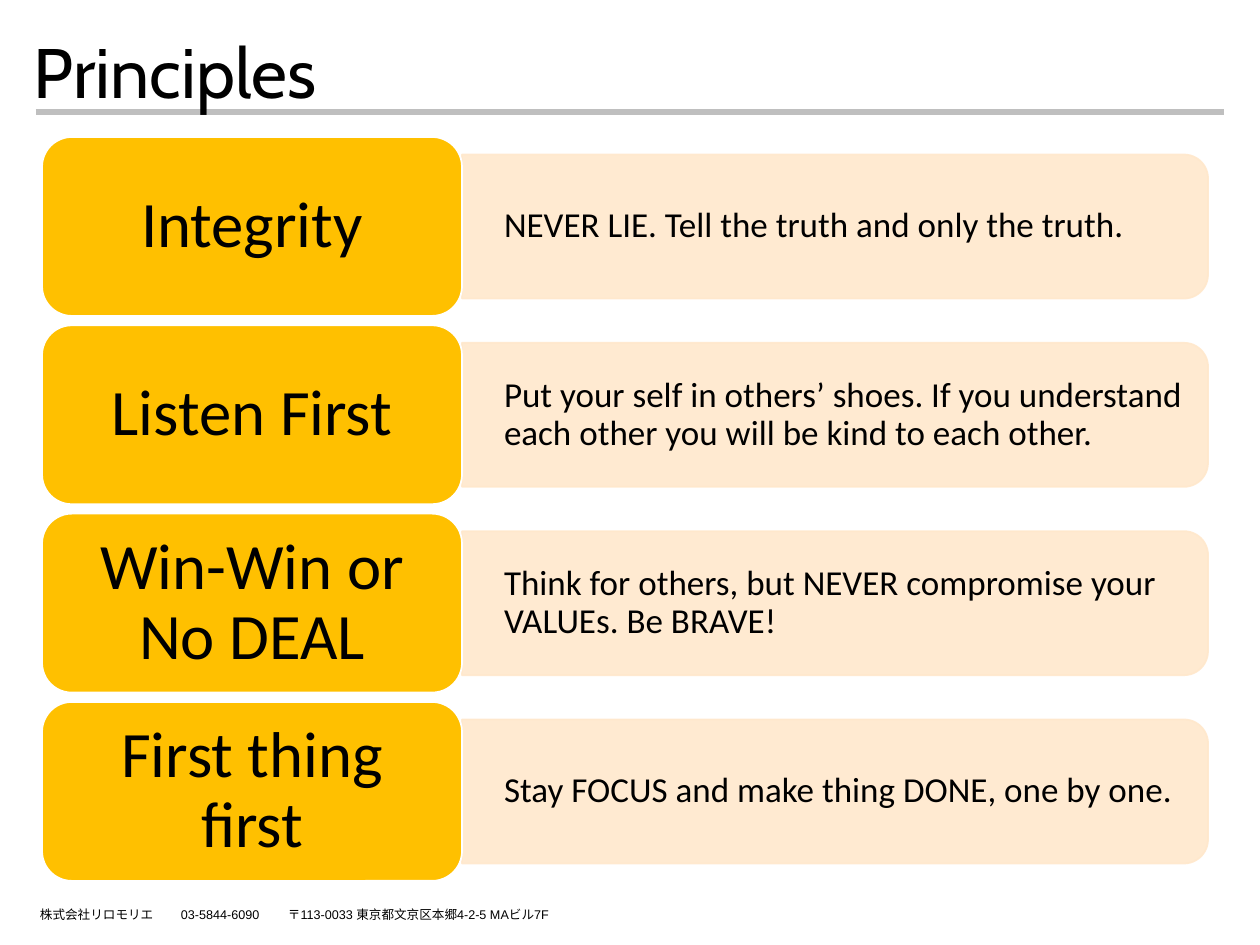
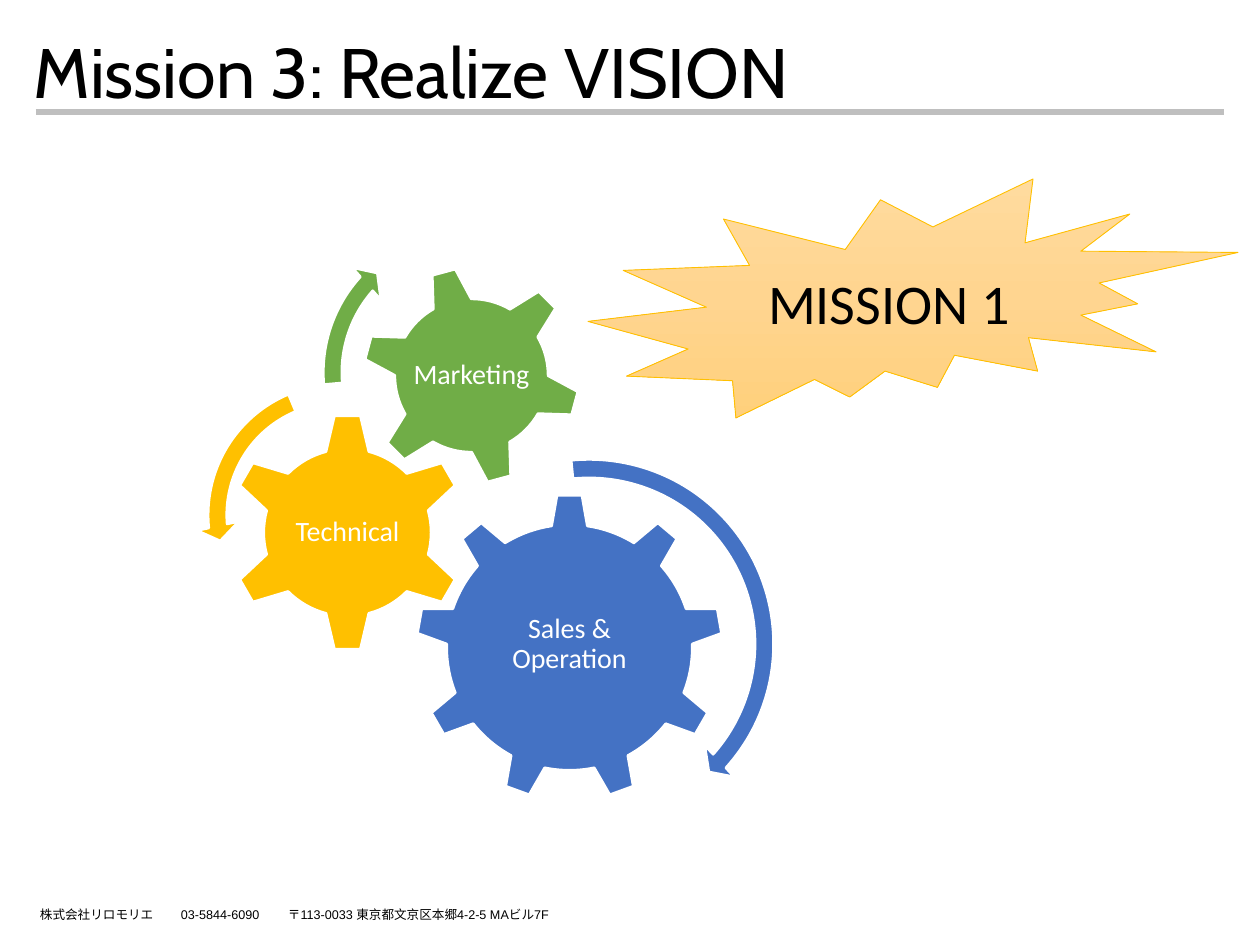
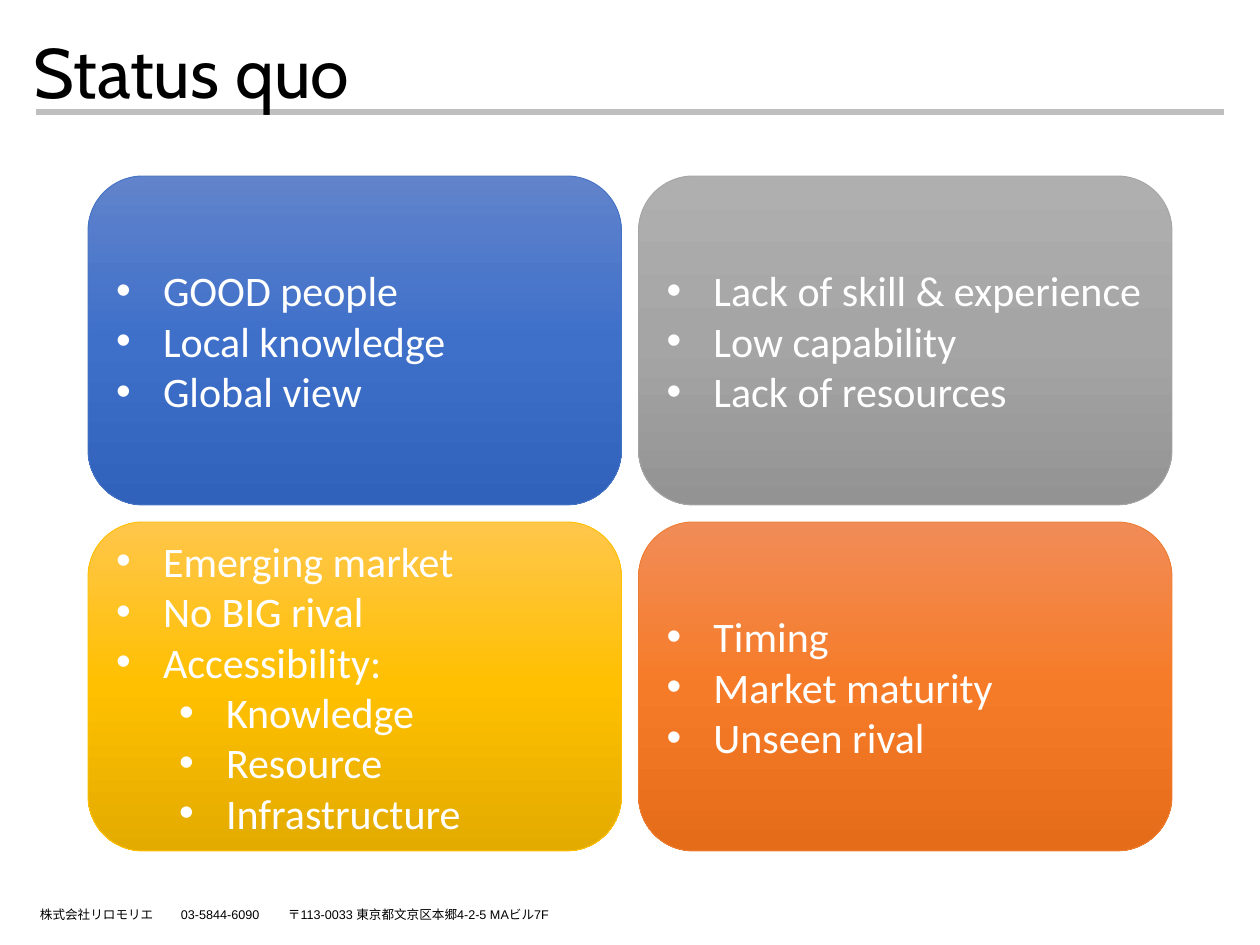
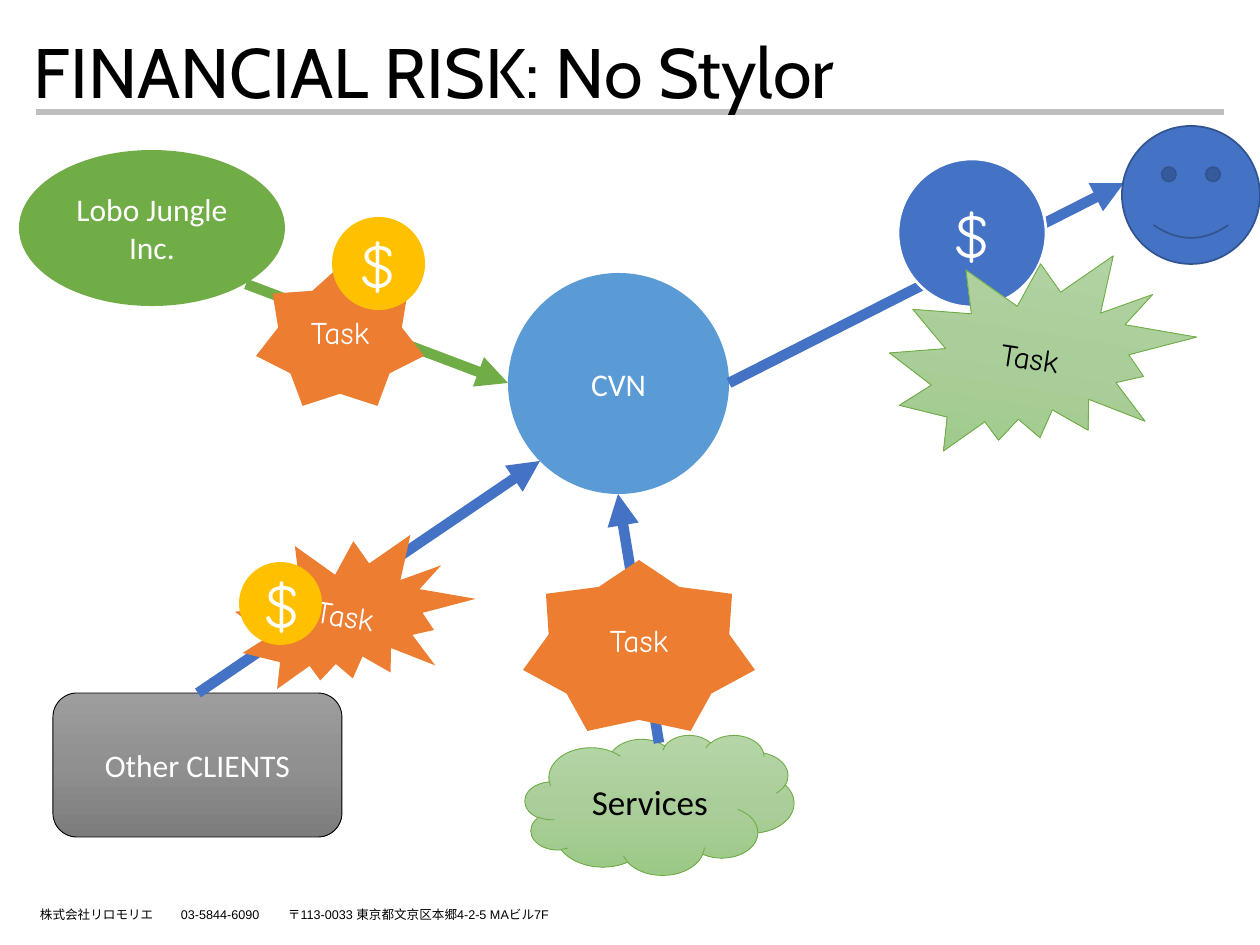
from collections import namedtuple
from dataclasses import dataclass

import lxml.etree
import pptx
import pptx.dml.color
import pptx.enum.shapes
import pptx.enum.text
import pptx.oxml.ns
import pptx.util

Box = namedtuple("Box", "x y w h")
MSO = pptx.enum.shapes.MSO_SHAPE
ALIGN = pptx.enum.text.PP_ALIGN
ANCHOR = pptx.enum.text.MSO_ANCHOR
qn = pptx.oxml.ns.qn


@dataclass(frozen=True)
class Theme:
    black: str = "000000"
    white: str = "FFFFFF"
    rule: str = "BFBFBF"
    cream: str = "FFE8CC"
    gold: str = "FFC000"
    blue: str = "4472C4"
    sky: str = "5B9BD5"
    green: str = "70AD47"
    orange: str = "ED7D31"
    gray: str = "A5A5A5"
    navy: str = "325491"
    peach_fade: tuple = ("FFDB9E", "FFD590", "FFD07C")
    blue_fade: tuple = ("6183CB", "3E70CA", "3062BB")
    gray_fade: tuple = ("AFAFAF", "A5A5A5", "939393")
    gold_fade: tuple = ("FFC64B", "FFC000", "E3AB00")
    orange_fade: tuple = ("F18C57", "F67B28", "E56C19")
    leaf_fade: tuple = ("B5D5A7", "AACE9A", "9CC987")
    slate_fade: tuple = ("9D9D9D", "909090", "7C7C7C")
    heading: str = "Cabin"
    body: str = "Calibri"
    casual: str = "Comic Neue"
    small: str = "Arial"
    title_pt: float = 40
    label_pt: float = 37
    money_pt: float = 36
    burst_pt: float = 32
    card_pt: float = 24
    detail_pt: float = 20
    node_pt: float = 18
    gear_pt: float = 16
    footer_pt: float = 7.2


T = Theme()
PAGE = Box(0, 0, 1260, 945)
BODY = Box(0, 126, 1260, 756)
INSET = (12, 6, 12, 6)


def px(n):
    return pptx.util.Emu(round(n * 914400 / 126))


def rgb(color):
    return pptx.dml.color.RGBColor.from_string(color)


def within(box, x, y, w, h):
    return Box(box.x + x, box.y + y, w, h)


def write(tf, lines, size, color=T.white, font=T.body, align=ALIGN.CENTER,
          anchor=ANCHOR.MIDDLE, inset=INSET, spacing=None):
    tf.word_wrap = True
    tf.auto_size = pptx.enum.text.MSO_AUTO_SIZE.NONE
    tf.vertical_anchor = anchor
    tf.margin_left, tf.margin_top, tf.margin_right, tf.margin_bottom = map(px, inset)
    for i, text in enumerate(lines):
        p = tf.add_paragraph() if i else tf.paragraphs[0]
        p.alignment = align
        if spacing:
            p.line_spacing = spacing
        r = p.add_run()
        r.text = text
        r.font.name = font
        r.font.size = pptx.util.Pt(size)
        r.font.color.rgb = rgb(color)


def add_text(s, box, text, size, **style):
    tb = s.shapes.add_textbox(*map(px, box))
    write(tb.text_frame, [text], size, **style)
    return tb


def paint(sp, fill):
    if isinstance(fill, str):
        sp.fill.solid()
        sp.fill.fore_color.rgb = rgb(fill)
        return
    sp.fill.gradient()
    sp.fill.gradient_angle = 270
    stops = next(sp.element.spPr.iter(qn("a:gsLst")))
    for gs in list(stops):
        stops.remove(gs)
    for pos, color in zip((0, 50000, 100000), fill):
        gs = lxml.etree.SubElement(stops, qn("a:gs"), pos=str(pos))
        lxml.etree.SubElement(gs, qn("a:srgbClr"), val=color)


def add_shape(s, kind, box, fill, line=None, width=0.5, rotation=0, adjust=()):
    sp = s.shapes.add_shape(kind, *map(px, box))
    sp.shadow.inherit = False
    sp.rotation = rotation
    for i, value in enumerate(adjust):
        sp.adjustments[i] = value
    paint(sp, fill)
    if line:
        sp.line.color.rgb = rgb(line)
        sp.line.width = pptx.util.Pt(width)
    else:
        sp.line.fill.background()
    return sp


def add_line(s, x1, y1, x2, y2, color, width, arrow=False):
    c = s.shapes.add_connector(pptx.enum.shapes.MSO_CONNECTOR.STRAIGHT,
                               px(x1), px(y1), px(x2), px(y2))
    c.line.color.rgb = rgb(color)
    c.line.width = pptx.util.Pt(width)
    spPr = c.element.spPr
    if arrow:
        lxml.etree.SubElement(spPr.find(qn("a:ln")), qn("a:tailEnd"), type="triangle")
    lxml.etree.SubElement(spPr, qn("a:effectLst"))
    return c


def set_translucent(sp, percent):
    for clr in sp.element.spPr.iter(qn("a:srgbClr")):
        lxml.etree.SubElement(clr, qn("a:alpha"), val=str(percent * 1000))


def set_bullet(p, margin, hanging):
    pPr = p._p.get_or_add_pPr()
    pPr.set("marL", str(px(margin)))
    pPr.set("indent", str(-px(hanging)))
    lxml.etree.SubElement(pPr, qn("a:buFont"), typeface=T.small)
    lxml.etree.SubElement(pPr, qn("a:buChar"), char="•")


def set_tabs(p, stops):
    tabs = lxml.etree.SubElement(p._p.get_or_add_pPr(), qn("a:tabLst"))
    for stop in stops:
        lxml.etree.SubElement(tabs, qn("a:tab"), pos=str(px(stop)), algn="l")


def add_frame(s, layout, box):
    rule = add_line(s, box.x + 36, box.y + 112, box.x + 1224, box.y + 112, T.rule, 3)
    footer = add_text(s, within(box, 28, 901, 630, 28),
                      "株式会社リロモリエ\t03-5844-6090\t〒113-0033 東京都文京区本郷4-2-5 MAビル7F",
                      T.footer_pt, color=T.black, font=T.small,
                      align=ALIGN.LEFT, anchor=ANCHOR.TOP)
    set_tabs(footer.text_frame.paragraphs[0], (141, 248))
    for part in (rule, footer):
        layout.shapes.element.append(part.element)


def add_slide(prs, layout, title, box=Box(22, 32, 955, 79)):
    s = prs.slides.add_slide(layout)
    sp = s.shapes.title
    sp.left, sp.top, sp.width, sp.height = map(px, box)
    write(sp.text_frame, [title], T.title_pt, color=T.black, font=T.heading,
          align=ALIGN.LEFT, anchor=ANCHOR.TOP, spacing=0.9)
    return s


def add_principle(s, box, name, detail):
    label_w, panel_h = 420, 144
    panel_w = box.w - label_w
    middle = box.y + box.h / 2
    center = box.x + label_w + panel_w / 2
    panel = add_shape(s, MSO.ROUND_2_SAME_RECTANGLE,
                      Box(center - panel_h / 2, middle - panel_w / 2, panel_h, panel_w),
                      T.cream, T.cream, 1, rotation=90)
    set_translucent(panel, 90)
    add_text(s, Box(box.x + label_w, middle - 65, panel_w - 7, 130), detail,
             T.detail_pt, color=T.black, align=ALIGN.LEFT, inset=(42, 5, 10, 5), spacing=0.9)
    label = add_shape(s, MSO.ROUNDED_RECTANGLE, Box(box.x, box.y, label_w, box.h),
                      T.gold, T.white, 1)
    write(label.text_frame, [name], T.label_pt, color=T.black,
          inset=(19, 10, 19, 10), spacing=0.9)


def add_principles(s, box):
    rows = (
        ("Integrity", "NEVER LIE. Tell the truth and only the truth."),
        ("Listen First", "Put your self in others’ shoes. If you understand each other "
                         "you will be kind to each other."),
        ("Win-Win or No DEAL", "Think for others, but NEVER compromise your VALUEs. Be BRAVE!"),
        ("First thing first", "Stay FOCUS and make thing DONE, one by one."),
    )
    row_h = 179
    pitch = (box.h - row_h) / (len(rows) - 1)
    for i, (name, detail) in enumerate(rows):
        add_principle(s, Box(box.x, box.y + i * pitch, box.w, row_h), name, detail)


def add_gears(s, box):
    gears = (
        (MSO.GEAR_9, 416, 368, 307, T.blue, 0, "Sales & Operation", 184, 159, 3),
        (MSO.GEAR_6, 228, 287, 239, T.gold, 0, "Technical", 118, 118, 0),
        (MSO.GEAR_6, 362, 140, 219, T.green, 345, "Marketing", 123, 123, 0),
    )
    for kind, x, y, size, color, turn, name, w, h, lift in gears:
        add_shape(s, kind, within(box, x, y, size, size), color, T.white, 1.5, turn)
        add_text(s, within(box, x + (size - w) / 2, y + (size - h) / 2 - lift, w, h), name,
                 T.gear_pt, inset=(3, 3, 3, 3), spacing=0.9)
    arrows = (
        (MSO.CIRCULAR_ARROW, 392, 321, 394, T.blue, (0.047, 2.99, 25.131, 158.679, 0.055)),
        (MSO.LEFT_CIRCULAR_ARROW, 196, 246, 286, T.gold, (0.065, 4.3, 104.891, 148.378, 0.075)),
        (MSO.CIRCULAR_ARROW, 311, 92, 309, T.green, (0.06, 3.941, 133.138, 105.082, 0.07)),
    )
    for kind, x, y, size, color, adjust in arrows:
        add_shape(s, kind, within(box, x, y, size, size), color, T.white, 1.5, adjust=adjust)
    burst = add_shape(s, MSO.EXPLOSION2, within(box, 588, 53, 650, 239), T.peach_fade, T.gold)
    write(burst.text_frame, ["MISSION 1"], T.burst_pt, color=T.black)


def add_card(s, box, items, fill, line):
    card = add_shape(s, MSO.ROUNDED_RECTANGLE, box, fill, line)
    write(card.text_frame, [text for level, text in items], T.card_pt, align=ALIGN.LEFT)
    for p, (level, text) in zip(card.text_frame.paragraphs, items):
        p.level = level
        set_bullet(p, 47 + 63 * level, 47)


def add_swot(s, box):
    gap = 17
    w, h = (box.w - gap) / 2, (box.h - gap) / 2
    cards = (
        (T.blue_fade, T.blue,
         ((0, "GOOD people"), (0, "Local knowledge"), (0, "Global view"))),
        (T.gray_fade, T.gray,
         ((0, "Lack of skill & experience"), (0, "Low capability"), (0, "Lack of resources"))),
        (T.gold_fade, T.gold,
         ((0, "Emerging market"), (0, "No BIG rival"), (0, "Accessibility:"),
          (1, "Knowledge"), (1, "Resource"), (1, "Infrastructure"))),
        (T.orange_fade, T.orange,
         ((0, "Timing"), (0, "Market maturity"), (0, "Unseen rival"))),
    )
    for i, (fill, line, items) in enumerate(cards):
        row, col = divmod(i, 2)
        add_card(s, within(box, col * (w + gap), row * (h + gap), w, h), items, fill, line)


def add_risk_map(s, box):
    def node(kind, at, text, fill, line=None, size=T.node_pt, color=T.white,
             font=T.body, **look):
        sp = add_shape(s, kind, within(box, *at), fill, line, **look)
        write(sp.text_frame, [text], size, color=color, font=font)

    def task(kind, at, fill=T.orange, **look):
        node(kind, at, "Task", fill, font=T.casual, **look)

    def money(x, y, size, fill=T.gold, **look):
        node(MSO.OVAL, (x, y, size, size), "$", fill, size=T.money_pt, font=T.casual, **look)

    def flow(x1, y1, x2, y2, color=T.blue):
        add_line(s, box.x + x1, box.y + y1, box.x + x2, box.y + y2, color, 6, arrow=True)

    node(MSO.OVAL, (19, 24, 266, 156), "Lobo Jungle Inc.", T.green)
    node(MSO.OVAL, (508, 147, 221, 221), "CVN", T.sky)
    flow(246, 158, 508, 257, T.green)
    task(MSO.STAR_7_POINT, (256, 140, 168, 140), adjust=(0.368, 1.026, 1.052))
    node(MSO.CLOUD, (525, 609, 269, 140), "Services", T.leaf_fade, T.green,
         size=T.detail_pt, color=T.black)
    flow(659, 617, 618, 368)
    flow(729, 257, 1124, 57)
    node(MSO.ROUNDED_RECTANGLE, (53, 567, 289, 144), "Other CLIENTS", T.slate_fade, T.black)
    flow(198, 567, 540, 335)
    task(MSO.STAR_7_POINT, (523, 434, 232, 171), adjust=(0.389, 1.026, 1.052))
    money(332, 91, 93)
    money(898, 33, 148, T.blue, line=T.white, width=1.5)
    task(MSO.EXPLOSION2, (891, 120, 301, 219), T.leaf_fade, line=T.green,
         color=T.black, rotation=8.9)
    task(MSO.EXPLOSION2, (236, 401, 236, 173), rotation=8.9)
    money(239, 436, 83)
    add_shape(s, MSO.SMILEY_FACE, within(box, 1122, 0, 138, 138), T.blue, T.navy, 1,
              adjust=(0.047,))


def main():
    prs = pptx.Presentation()
    prs.slide_width, prs.slide_height = px(PAGE.w), px(PAGE.h)
    layout = prs.slide_layouts.get_by_name("Title Only")
    pages = (
        ("Principles", add_principles, Box(42, 137, 1166, 744)),
        ("Mission 3: Realize VISION", add_gears, BODY),
        ("Status quo", add_swot, Box(88, 176, 1084, 675)),
        ("FINANCIAL RISK: No Stylor", add_risk_map, BODY),
    )
    for i, (title, draw, box) in enumerate(pages):
        s = add_slide(prs, layout, title)
        if i == 0:
            add_frame(s, layout, PAGE)
        draw(s, box)
    prs.save("out.pptx")


if __name__ == "__main__":
    main()
